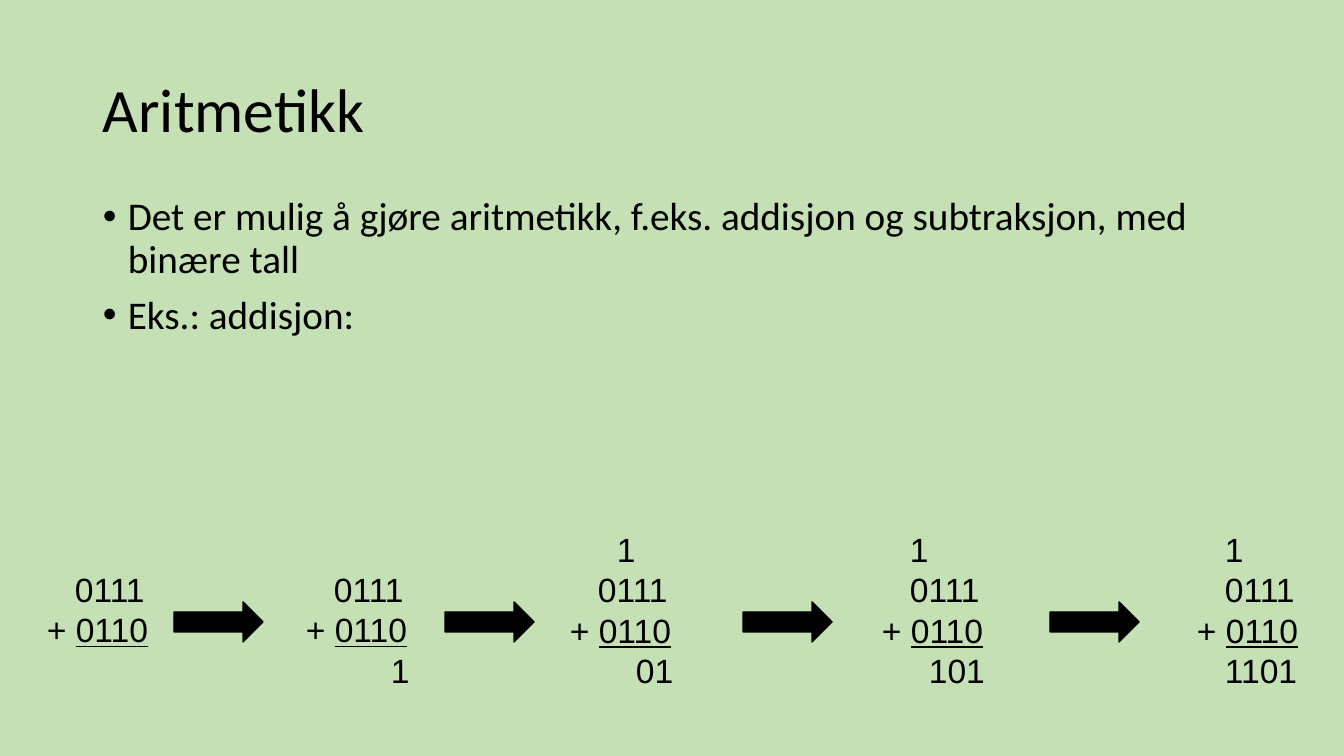
"""Build a slide that shows binary addition step by step."""
from lxml.etree import SubElement
from pptx import Presentation
from pptx.dml.color import RGBColor
from pptx.enum.shapes import MSO_SHAPE
from pptx.enum.text import MSO_ANCHOR
from pptx.oxml.ns import qn
from pptx.util import Pt

PIXEL = 9071
BLACK = RGBColor(0x00, 0x00, 0x00)
GREEN = RGBColor(0xC5, 0xE0, 0xB4)
DIGIT_WIDTH = 19
NUMBER_INDENT = 28
ROW_HEIGHT = 40


def add_text_frame(left, top, width, height):
    box = page.shapes.add_textbox(*(n * PIXEL for n in (left, top, width, height)))
    box.text_frame.word_wrap = True
    return box.text_frame


def style(paragraph, font_name, size, spacing, left=0, hanging=0):
    paragraph.font.name = font_name
    paragraph.font.size = Pt(size)
    paragraph.font.color.rgb = BLACK
    paragraph.line_spacing = spacing
    properties = paragraph._p.get_or_add_pPr()
    properties.set("marL", str(left * PIXEL))
    properties.set("indent", str(-hanging * PIXEL))
    return properties


deck = Presentation()
deck.slide_width = 1344 * PIXEL
deck.slide_height = 756 * PIXEL
page = deck.slides.add_slide(deck.slide_layouts[6])
page.background.fill.solid()
page.background.fill.fore_color.rgb = GREEN

title = add_text_frame(93, 40, 1159, 146)
title.vertical_anchor = MSO_ANCHOR.MIDDLE
title.text = "Aritmetikk"
style(title.paragraphs[0], "Calibri", 44, 0.9)

body = add_text_frame(93, 192, 1159, 187)
body.text = (
    "Det er mulig å gjøre aritmetikk, f.eks. addisjon og subtraksjon, med binære tall\n"
    "Eks.: addisjon:"
)
for paragraph in body.paragraphs:
    paragraph.space_before = Pt(10)
    properties = style(paragraph, "Calibri", 28, 0.9, 25, 25)
    SubElement(properties, qn("a:buFont"), typeface="Arial")
    SubElement(properties, qn("a:buChar"), char="•")

steps = [
    (37, None, ""),
    (296, None, "1"),
    (560, 1, "01"),
    (872, 0, "101"),
    (1187, 0, "1101"),
]
for left, carry_column, result in steps:
    rows = [("", "0111", 0)]
    if carry_column is not None:
        rows.insert(0, ("", "1", carry_column))
    rows.append(("+ ", "0110", 0))
    if result:
        rows.append(("", result, 4 - len(result)))
    top = 564 if carry_column is None else 564 - ROW_HEIGHT
    frame = add_text_frame(left, top, 137, ROW_HEIGHT * len(rows) + 10)
    for index, (sign, digits, column) in enumerate(rows):
        paragraph = frame.add_paragraph() if index else frame.paragraphs[0]
        indent = 0 if sign else NUMBER_INDENT + column * DIGIT_WIDTH
        style(paragraph, "Arial", 24, Pt(28.8), indent)
        if sign:
            paragraph.add_run().text = sign
        span = paragraph.add_run()
        span.text = digits
        if sign:
            span.font.underline = True

for left in (174, 445, 743, 1050):
    arrow = page.shapes.add_shape(
        MSO_SHAPE.RIGHT_ARROW, left * PIXEL, 602 * PIXEL, 89 * PIXEL, 40 * PIXEL
    )
    arrow.shadow.inherit = False
    arrow.fill.solid()
    arrow.fill.fore_color.rgb = BLACK
    arrow.line.color.rgb = BLACK
    arrow.line.width = Pt(1)

deck.save("out.pptx")
